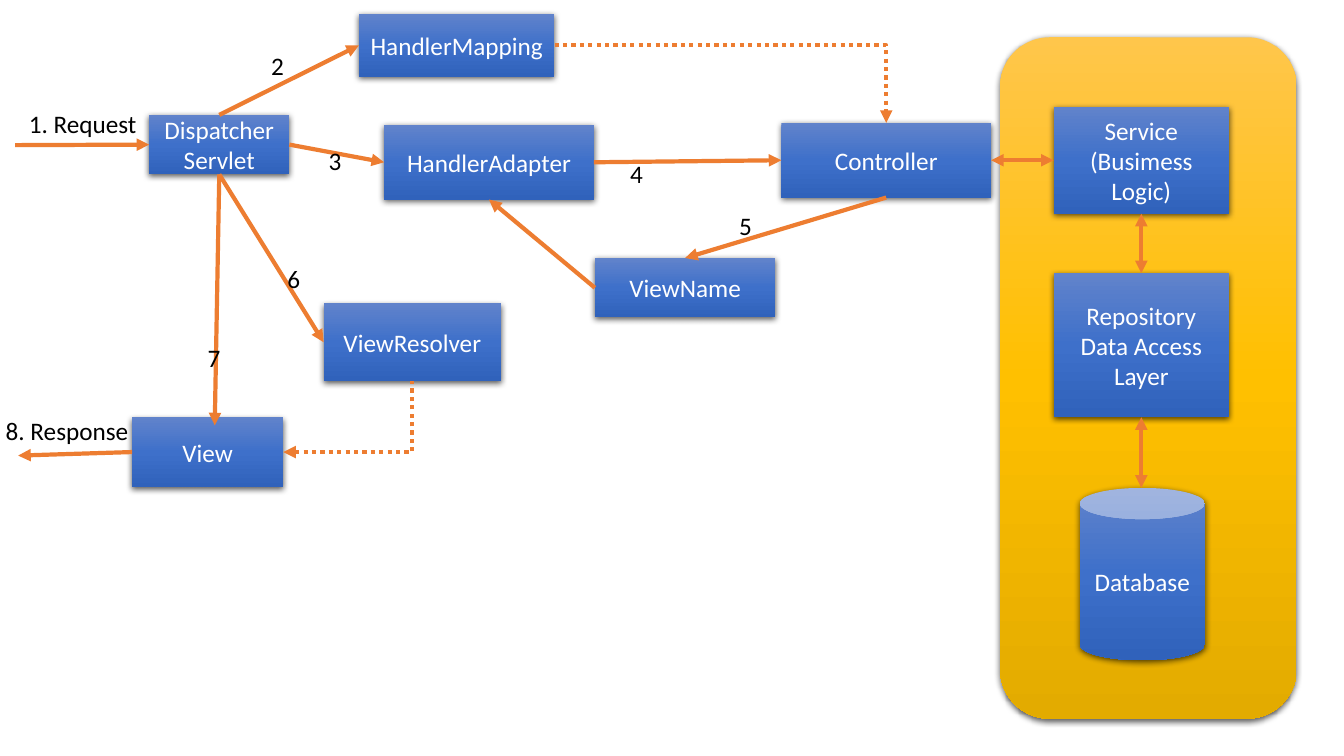
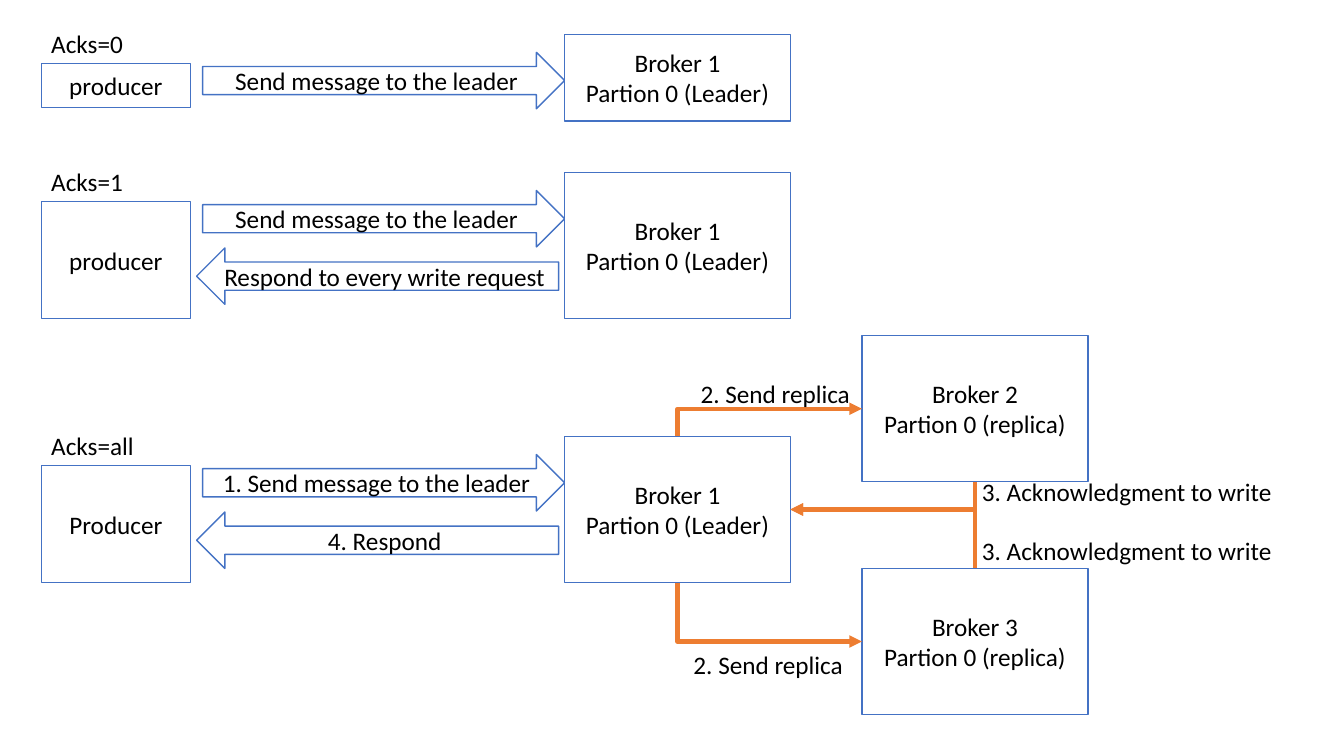
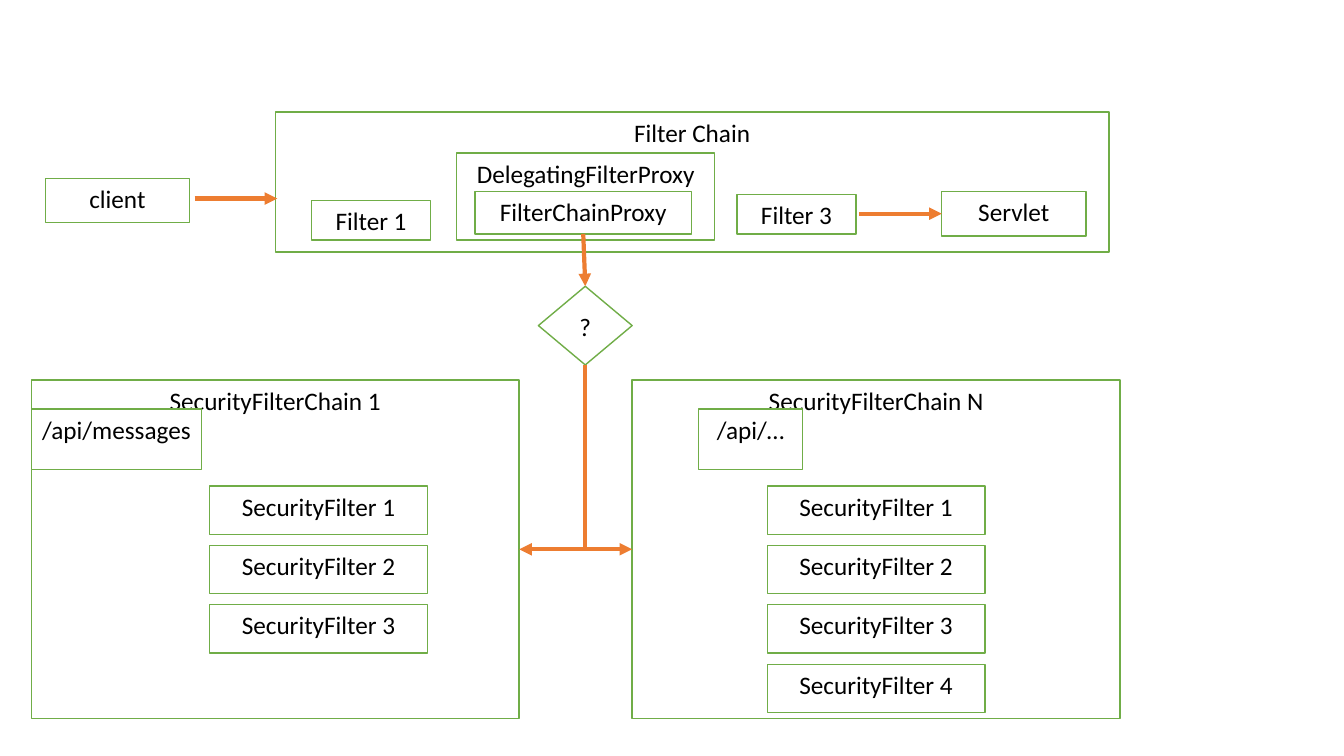
import copy

import lxml.etree
import pptx
import pptx.dml.color
import pptx.enum.dml
import pptx.enum.shapes
import pptx.enum.text
import pptx.oxml.ns
import pptx.util

PX = 9144  # 100 px to the inch
SLIDE_WIDTH, SLIDE_HEIGHT = 1333, 750
FONT, FONT_SIZE = "Calibri", 18

RGB = pptx.dml.color.RGBColor
BLACK = RGB(0x00, 0x00, 0x00)
WHITE = RGB(0xFF, 0xFF, 0xFF)
ORANGE = RGB(0xED, 0x7D, 0x31)
BLUE = RGB(0x44, 0x72, 0xC4)
GREEN = RGB(0x70, 0xAD, 0x47)
BLUE_GRADIENT = (RGB(0x61, 0x83, 0xCB), RGB(0x3E, 0x70, 0xCA), RGB(0x30, 0x62, 0xBB))
GOLD_GRADIENT = (RGB(0xFF, 0xC6, 0x4B), RGB(0xFF, 0xC0, 0x00), RGB(0xE3, 0xAB, 0x00))

SHAPE = pptx.enum.shapes.MSO_SHAPE
CONNECTOR = pptx.enum.shapes.MSO_CONNECTOR
ALIGN = pptx.enum.text.PP_ALIGN
ANCHOR = pptx.enum.text.MSO_ANCHOR
TOP, LEFT, BOTTOM, RIGHT = range(4)
SIDE_POINTS = {TOP: (0.5, 0), LEFT: (0, 0.5), BOTTOM: (0.5, 1), RIGHT: (1, 0.5)}

qn = pptx.oxml.ns.qn


def emu(*lengths):
    return [pptx.util.Emu(round(length * PX)) for length in lengths]


def write(frame, text, color=BLACK, align=ALIGN.CENTER, anchor=ANCHOR.MIDDLE, wrap=True):
    """Fill a text frame, one paragraph for each line of text."""
    frame.word_wrap = wrap
    frame.vertical_anchor = anchor
    for index, line in enumerate(text.split("\n")):
        paragraph = frame.paragraphs[0] if index == 0 else frame.add_paragraph()
        paragraph.text = line
        paragraph.alignment = align
        paragraph.font.name = FONT
        paragraph.font.size = pptx.util.Pt(FONT_SIZE)
        paragraph.font.color.rgb = color


def label(slide, text, box, align=ALIGN.LEFT, wrap=False, inset=True):
    caption = slide.shapes.add_textbox(*emu(*box))
    if not inset:
        caption.text_frame.margin_left = caption.text_frame.margin_right = 0
    write(caption.text_frame, text, align=align, anchor=ANCHOR.TOP, wrap=wrap)


def outlined(slide, text, box, line, kind=SHAPE.RECTANGLE, anchor=ANCHOR.MIDDLE):
    node = slide.shapes.add_shape(kind, *emu(*box))
    node.shadow.inherit = False
    node.fill.solid()
    node.fill.fore_color.rgb = WHITE
    node.line.color.rgb = line
    node.line.width = pptx.util.Pt(1)
    write(node.text_frame, text, anchor=anchor)
    return node


def glossy(slide, text, box, kind=SHAPE.RECTANGLE, colors=BLUE_GRADIENT):
    """Add a shape with a vertical three-stop gradient and a soft shadow."""
    node = slide.shapes.add_shape(kind, *emu(*box))
    node.line.fill.background()
    node.fill.gradient()
    node.fill.gradient_angle = 270
    properties = node._element.spPr
    stop_list = properties.find(".//" + qn("a:gsLst"))
    stop_list.insert(1, copy.deepcopy(stop_list[0]))
    for stop, color, position in zip(node.fill.gradient_stops, colors, (0, 0.5, 1)):
        stop.color.rgb = color
        stop.position = position
    node.shadow.inherit = False
    shadow = lxml.etree.SubElement(
        properties.find(qn("a:effectLst")), qn("a:outerShdw"),
        blurRad="57150", dist="19050", dir="5400000", algn="ctr", rotWithShape="0")
    shade = lxml.etree.SubElement(shadow, qn("a:srgbClr"), val="000000")
    lxml.etree.SubElement(shade, qn("a:alpha"), val="63000")
    if text:
        write(node.text_frame, text, color=WHITE)
    return node


def locate(end):
    """Return the EMU point of a (shape, side) pair or of an (x, y) pair."""
    place, side = end
    if isinstance(place, int):
        return emu(place, side)
    across, down = SIDE_POINTS[side]
    return [pptx.util.Emu(round(place.left + place.width * across)),
            pptx.util.Emu(round(place.top + place.height * down))]


def link(slide, start, end, heads=("tailEnd",), elbow=False, dotted=False):
    """Join two ends; an elbow leaves its start horizontally."""
    kind = CONNECTOR.ELBOW if elbow else CONNECTOR.STRAIGHT
    connector = slide.shapes.add_connector(kind, *locate(start), *locate(end))
    if not isinstance(start[0], int):
        connector.begin_connect(*start)
    if not isinstance(end[0], int):
        connector.end_connect(*end)
    connector.line.color.rgb = ORANGE
    connector.line.width = pptx.util.Pt(3)
    if dotted:
        connector.line.dash_style = pptx.enum.dml.MSO_LINE.ROUND_DOT
    properties = connector._element.spPr
    if elbow:
        properties.find(qn("a:prstGeom")).set("prst", "bentConnector2")
    for head in heads:
        lxml.etree.SubElement(properties.find(qn("a:ln")), qn(f"a:{head}"), type="triangle")
    lxml.etree.SubElement(properties, qn("a:effectLst"))


def service_panel(slide, left, top):
    """Draw the back-end layers and return the service box."""
    both = ("headEnd", "tailEnd")
    glossy(slide, "", (left, top, 294, 676), SHAPE.ROUNDED_RECTANGLE, GOLD_GRADIENT)
    service = glossy(slide, "Service\n(Busimess Logic)", (left + 53, top + 69, 174, 106))
    repository = glossy(slide, "Repository\nData Access Layer",
                        (left + 53, top + 234, 174, 143))
    glossy(slide, "Database", (left + 79, top + 447, 124, 171), SHAPE.CAN)
    link(slide, (service, BOTTOM), (repository, TOP), both)
    link(slide, (repository, BOTTOM), (left + 140, top + 447), both)
    return service


def request_flow_slide(slide):
    service = service_panel(slide, 992, 37)
    dispatcher = glossy(slide, "DispatcherServlet", (148, 114, 139, 59))
    mapping = glossy(slide, "HandlerMapping", (356, 14, 194, 62))
    adapter = glossy(slide, "HandlerAdapter", (381, 124, 208, 74))
    controller = glossy(slide, "Controller", (775, 122, 208, 74))
    view_name = glossy(slide, "ViewName", (590, 256, 179, 59))
    resolver = glossy(slide, "ViewResolver", (321, 301, 176, 77))
    view = glossy(slide, "View", (131, 414, 150, 69))

    for start, end in (
        ((15, 144), (dispatcher, LEFT)),
        ((dispatcher, TOP), (mapping, LEFT)),
        ((dispatcher, RIGHT), (adapter, LEFT)),
        ((adapter, RIGHT), (controller, LEFT)),
        ((controller, BOTTOM), (view_name, TOP)),
        ((view_name, LEFT), (adapter, BOTTOM)),
        ((dispatcher, BOTTOM), (resolver, LEFT)),
        ((dispatcher, BOTTOM), (213, 422)),
        ((view, LEFT), (18, 452)),
    ):
        link(slide, start, end)
    link(slide, (controller, RIGHT), (service, LEFT), ("headEnd", "tailEnd"))
    link(slide, (mapping, RIGHT), (controller, TOP), elbow=True, dotted=True)
    link(slide, (view, RIGHT), (resolver, BOTTOM), ("headEnd",), elbow=True, dotted=True)

    label(slide, "1. Request", (18, 103, 128, 40), align=ALIGN.CENTER)
    label(slide, "8. Response", (-5, 407, 143, 40), align=ALIGN.CENTER)
    for step, left, top in (("2", 269, 45), ("3", 326, 139), ("4", 625, 152),
                            ("5", 733, 204), ("6", 285, 256), ("7", 206, 335)):
        label(slide, step, (left, top, 13, 40), inset=False)


def acks_row(slide, left, top, mode, producer, heights, request, response=None):
    """Draw one acknowledgment mode and return its leader broker."""
    producer_height, broker_height = heights
    label(slide, mode, (left, top, 103, 40), wrap=True)
    outlined(slide, producer, (left, top + 40, 148, producer_height), BLUE)
    outlined(slide, request, (left + 160, top + 29, 359, 56), BLUE, SHAPE.RIGHT_ARROW)
    leader = outlined(slide, "Broker 1\nPartion 0 (Leader)",
                      (left + 519, top + 11, 224, broker_height), BLUE)
    if response:
        outlined(slide, response, (left + 154, top + 86, 359, 56), BLUE, SHAPE.LEFT_ARROW)
    return leader


def acks_slide(slide):
    tall = (116, 145)
    send = "Send message to the leader"
    acks_row(slide, 41, 23, "Acks=0", "producer", (44, 86), send)
    acks_row(slide, 41, 160, "Acks=1", "producer", tall, send,
             "Respond to every write request")
    leader = acks_row(slide, 41, 422, "Acks=all", "Producer", tall, f"1. {send}",
                      "4. Respond")
    for number, top, leader_side, replica_side in ((2, 333, TOP, BOTTOM),
                                                   (3, 564, BOTTOM, TOP)):
        replica = outlined(slide, f"Broker {number}\nPartion 0 (replica)",
                           (855, top, 224, 145), BLUE)
        link(slide, (replica, LEFT), (leader, leader_side), ("headEnd",), elbow=True)
        link(slide, (leader, RIGHT), (replica, replica_side), ("headEnd",), elbow=True)
    for left, top in ((685, 370), (678, 639)):
        label(slide, "2. Send replica", (left, top, 170, 40))
    for top in (468, 526):
        label(slide, "3. Acknowledgment to write", (964, top, 317, 40), wrap=True)


def filter_box(slide, text, box, kind=SHAPE.RECTANGLE):
    return outlined(slide, text, box, GREEN, kind, ANCHOR.TOP)


def filter_chain(slide, left, top):
    """Draw the servlet filter chain and return the proxy box."""
    filter_box(slide, "Filter Chain", (left, top, 827, 139))
    filter_box(slide, "Filter 1", (left + 36, top + 88, 118, 39))
    filter_box(slide, "DelegatingFilterProxy", (left + 180, top + 41, 256, 86))
    filter_box(slide, "Filter 3", (left + 458, top + 82, 118, 39))
    servlet = filter_box(slide, "Servlet", (left + 661, top + 79, 143, 44))
    link(slide, (left + 579, top + 101), (servlet, LEFT))
    return filter_box(slide, "FilterChainProxy", (left + 198, top + 79, 215, 42))


def security_chain(slide, left, top, name, route, route_span, filter_offset, count):
    """Draw one security chain; route_span is the offset and width of its route."""
    chain = filter_box(slide, f"SecurityFilterChain {name}", (left, top, 484, 336))
    route_offset, route_width = route_span
    filter_box(slide, route, (left + route_offset, top + 29, route_width, 60))
    for index in range(count):
        filter_box(slide, f"SecurityFilter {index + 1}",
                   (left + filter_offset, top + 105 + 59 * index, 216, 48))
    return chain


def security_slide(slide):
    filter_box(slide, "client", (45, 177, 143, 44))
    proxy = filter_chain(slide, 273, 111)
    link(slide, (193, 197), (275, 197))
    choice = filter_box(slide, "?", (534, 284, 93, 78), SHAPE.DIAMOND)
    first = security_chain(slide, 31, 377, "1", "/api/messages", (0, 169), 177, 3)
    last = security_chain(slide, 627, 377, "N", "/api/…", (66, 103), 134, 4)
    link(slide, (proxy, BOTTOM), (choice, TOP))
    for chain, side in ((first, RIGHT), (last, LEFT)):
        link(slide, (chain, side), (choice, BOTTOM), ("headEnd",), elbow=True)


def main():
    deck = pptx.Presentation()
    deck.slide_width, deck.slide_height = emu(SLIDE_WIDTH, SLIDE_HEIGHT)
    blank = deck.slide_layouts[6]
    for build in (request_flow_slide, acks_slide, security_slide):
        build(deck.slides.add_slide(blank))
    deck.save("out.pptx")


if __name__ == "__main__":
    main()
